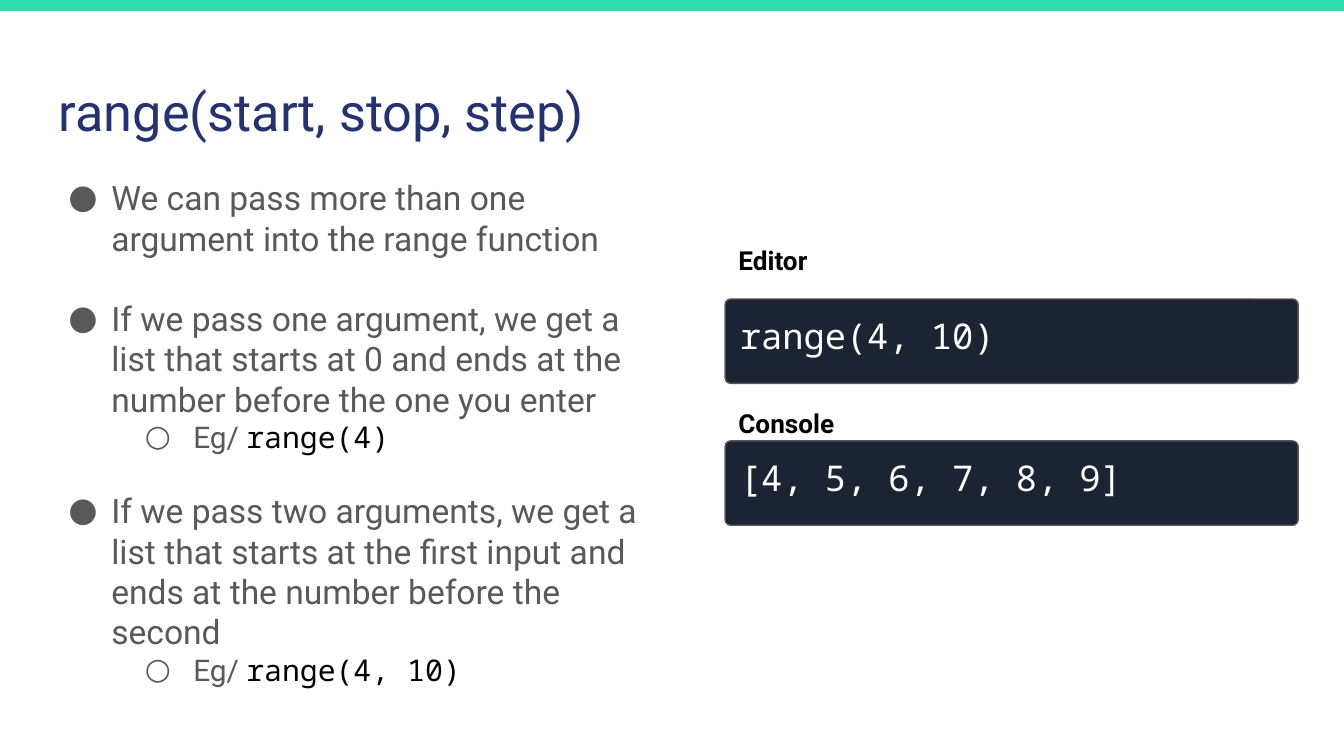
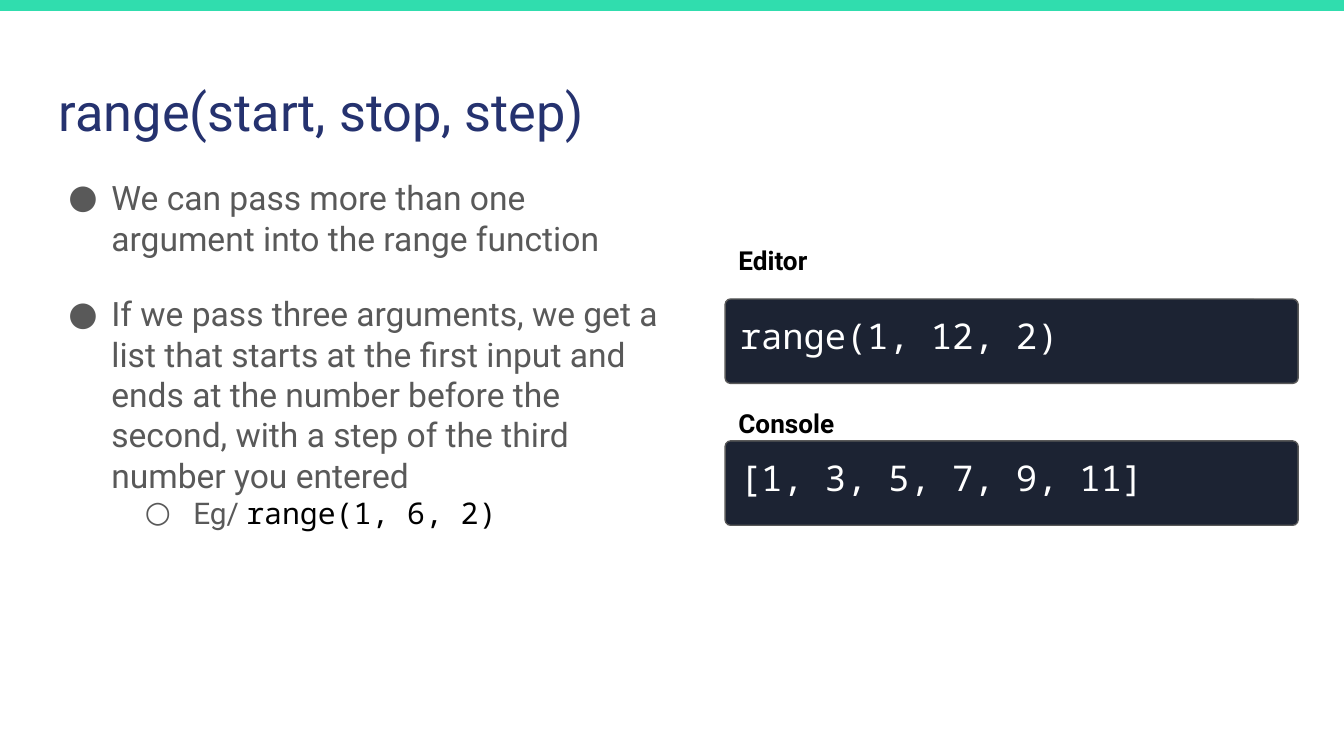
import pptx
import pptx.dml.color
import pptx.enum.shapes
import pptx.enum.text
import pptx.oxml
import pptx.oxml.ns
import pptx.util

Pt = pptx.util.Pt

COLORS = {
    "band": "30DDAE",
    "title": "25326F",
    "body": "595959",
    "code": "000000",
    "panel": "1C2333",
    "panel_text": "FFFFFF",
}
SANS = "Roboto"
MONO = "Noto Sans Mono"
SLIDE_WIDTH, SLIDE_HEIGHT = 720, 405
TITLE_BOX = (24.5, 35.2, 671, 45.5)
PANEL_LEFT, PANEL_WIDTH, PANEL_HEIGHT = 388.5, 307, 45.2
LABEL_WIDTH, LABEL_HEIGHT = 124.5, 31.5
PANEL_TOPS = {"editor": 160.2, "console": 236.2}
LABEL_TOPS = {"Editor": 123.9, "Console": 211.1}
BULLETS = [("●", 28.1, -23, 18), ("○", 72, -25.9, 16)]

INTRO = "We can pass more than one argument into the range function"
LESSONS = [
    {
        "body_box": (24.5, 87.8, 335.5, 291),
        "bullets": [
            (0, INTRO, "", 21.5),
            (0, "If we pass one argument, we get a list that starts at 0 "
                "and ends at the number before the one you enter", "", 0),
            (1, "Eg/ ", "range(4)", 19),
            (0, "If we pass two arguments, we get a list that starts at the "
                "first input and ends at the number before the second", "", 0),
            (1, "Eg/ ", "range(4, 10)", 0),
        ],
        "editor": "range(4, 10)",
        "console": "[4, 5, 6, 7, 8, 9]",
    },
    {
        "body_box": (24.5, 87.8, 342.5, 206),
        "bullets": [
            (0, INTRO, "", 19),
            (0, "If we pass three arguments, we get a list that starts at the "
                "first input and ends at the number before the second, "
                "with a step of the third number you entered", "", 0),
            (1, "Eg/ ", "range(1, 6, 2)", 0),
        ],
        "editor": "range(1, 12, 2)",
        "console": "[1, 3, 5, 7, 9, 11]",
    },
]


def rgb(name):
    return pptx.dml.color.RGBColor.from_string(COLORS[name])


def style_font(font, size, face, color, bold=False):
    font.size = Pt(size)
    font.name = face
    font.bold = bold
    font.color.rgb = rgb(color)


def prepare_frame(shape):
    frame = shape.text_frame
    frame.word_wrap = True
    frame.vertical_anchor = pptx.enum.text.MSO_ANCHOR.TOP
    frame.margin_left = frame.margin_right = Pt(7.2)
    frame.margin_top = frame.margin_bottom = Pt(7.2)
    return frame


def add_box(slide, kind, box, fill):
    shape = slide.shapes.add_shape(kind, *map(Pt, box))
    shape.shadow.inherit = False
    shape.fill.solid()
    shape.fill.fore_color.rgb = rgb(fill)
    shape.line.fill.background()
    return shape


def write_line(shape, text, size, face, color, bold=False):
    paragraph = prepare_frame(shape).paragraphs[0]
    paragraph.text = text
    paragraph.alignment = pptx.enum.text.PP_ALIGN.LEFT
    style_font(paragraph.font, size, face, color, bold)


def add_line(slide, box, text, size, color, bold=False):
    shape = slide.shapes.add_textbox(*map(Pt, box))
    write_line(shape, text, size, SANS, color, bold)


def set_bullet(paragraph, level):
    character, margin, indent, size = BULLETS[level]
    paragraph.level = level
    properties = paragraph._p.get_or_add_pPr()
    properties.set("marL", str(Pt(margin)))
    properties.set("indent", str(Pt(indent)))
    namespace = pptx.oxml.ns.nsdecls("a")
    for xml in (
        f'<a:buClr {namespace}><a:srgbClr val="{COLORS["body"]}"/></a:buClr>',
        f'<a:buSzPts {namespace} val="{size * 100}"/>',
        f'<a:buFont {namespace} typeface="{SANS}"/>',
        f'<a:buChar {namespace} char="{character}"/>',
    ):
        properties.append(pptx.oxml.parse_xml(xml))


def add_bullets(slide, box, bullets):
    frame = prepare_frame(slide.shapes.add_textbox(*map(Pt, box)))
    for index, (level, text, code, gap) in enumerate(bullets):
        paragraph = frame.add_paragraph() if index else frame.paragraphs[0]
        paragraph.space_after = Pt(gap)
        set_bullet(paragraph, level)
        size = BULLETS[level][3]
        for words, face, color in ((text, SANS, "body"), (code, MONO, "code")):
            if words:
                run = paragraph.add_run()
                run.text = words
                style_font(run.font, size, face, color)


def add_code_panel(slide, top, code):
    box = (PANEL_LEFT, top, PANEL_WIDTH, PANEL_HEIGHT)
    rounded = pptx.enum.shapes.MSO_SHAPE.ROUNDED_RECTANGLE
    panel = add_box(slide, rounded, box, "panel")
    panel.adjustments[0] = 0.065
    panel.line.color.rgb = rgb("body")
    panel.line.width = Pt(0.75)
    write_line(panel, code, 19, MONO, "panel_text")


def add_lesson_slide(presentation, lesson):
    slide = presentation.slides.add_slide(presentation.slide_layouts[6])
    rectangle = pptx.enum.shapes.MSO_SHAPE.RECTANGLE
    add_box(slide, rectangle, (-0.7, 0, SLIDE_WIDTH + 1.4, 5.8), "band")
    add_bullets(slide, lesson["body_box"], lesson["bullets"])
    add_line(slide, TITLE_BOX, "range(start, stop, step)", 28, "title")
    for name, top in PANEL_TOPS.items():
        add_code_panel(slide, top, lesson[name])
    for label, top in LABEL_TOPS.items():
        box = (PANEL_LEFT, top, LABEL_WIDTH, LABEL_HEIGHT)
        add_line(slide, box, label, 14, "code", bold=True)


def main():
    presentation = pptx.Presentation()
    presentation.slide_width = Pt(SLIDE_WIDTH)
    presentation.slide_height = Pt(SLIDE_HEIGHT)
    for lesson in LESSONS:
        add_lesson_slide(presentation, lesson)
    presentation.save("out.pptx")


if __name__ == "__main__":
    main()
